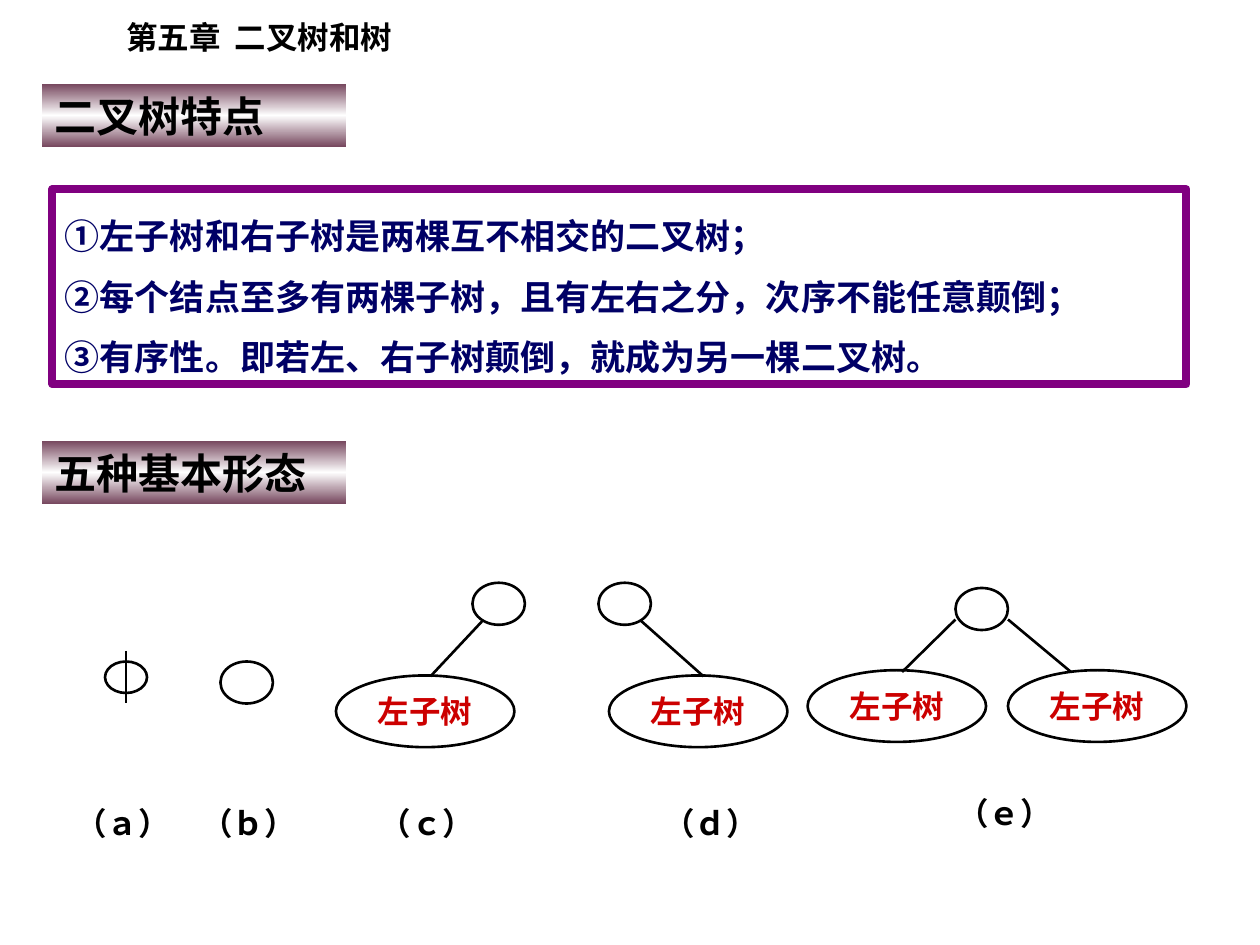
from copy import deepcopy

from lxml import etree
from pptx import Presentation
from pptx.dml.color import RGBColor
from pptx.enum.shapes import MSO_CONNECTOR, MSO_SHAPE
from pptx.enum.text import MSO_ANCHOR, PP_ALIGN
from pptx.oxml.ns import qn
from pptx.util import Pt

RECTANGLE, ELLIPSE = MSO_SHAPE.RECTANGLE, MSO_SHAPE.OVAL
STRAIGHT = MSO_CONNECTOR.STRAIGHT
TOP, MIDDLE = MSO_ANCHOR.TOP, MSO_ANCHOR.MIDDLE
LEFT, CENTER = PP_ALIGN.LEFT, PP_ALIGN.CENTER

SERIF, SANS = "Times New Roman", "Noto Sans CJK SC"
BLACK, NAVY, PURPLE, RED = "000000", "000066", "800080", "CC0000"
BANNER_STOPS = [(0, "76475E"), (0.5, "FFFFFF"), (1, "76475E")]
NODE_SIZE, EMPTY_SIZE, SUBTREE_SIZE = (30, 24), (24, 18), (102, 41)

FEATURES = [
    "①左子树和右子树是两棵互不相交的二叉树；",
    "②每个结点至多有两棵子树，且有左右之分，次序不能任意颠倒；",
    "③有序性。即若左、右子树颠倒，就成为另一棵二叉树。",
]

# Positions of nodes, subtrees, links and label are relative to the origin.
FORMS = [
    dict(origin=(36, 372), label="（ａ）", label_at=(0, 84),
         node=(24, 6), node_size=EMPTY_SIZE, links=[(36, 0, 36, 30)]),
    dict(origin=(108, 378), label="（ｂ）", label_at=(0, 78), node=(18, 0)),
    dict(origin=(192, 333), label="（ｃ）", label_at=(18, 123), node=(78, 0),
         subtrees=[(0, 53)], links=[(84, 21.5, 54, 53.5)]),
    dict(origin=(342, 333), label="（ｄ）", label_at=(30, 123), node=(0, 0),
         subtrees=[(6, 53)], links=[(24, 21.5, 60, 53.5)]),
    dict(origin=(461.5, 336), label="（ｅ）", label_at=(78.5, 114),
         node=(84.5, 0), subtrees=[(0, 47), (114.5, 47)],
         links=[(84.5, 18, 54, 48), (114.5, 18, 150.5, 48)]),
]


def color(hex_string):
    return RGBColor.from_string(hex_string)


def write(shape, lines, size, hex_color, font=SERIF, align=LEFT, anchor=TOP,
          spacing=None, wrap=True):
    frame = shape.text_frame
    frame.word_wrap = wrap
    frame.vertical_anchor = anchor
    frame.text = "\n".join(lines)
    for paragraph in frame.paragraphs:
        paragraph.alignment = align
        paragraph.line_spacing = spacing
        paragraph.font.name = font
        paragraph.font.size = Pt(size)
        paragraph.font.bold = True
        paragraph.font.color.rgb = color(hex_color)


def add_text(slide, left, top, width, height, text, wrap=True):
    box = slide.shapes.add_textbox(Pt(left), Pt(top), Pt(width), Pt(height))
    write(box, [text], 18, BLACK, wrap=wrap)


def add_outline(slide, kind, left, top, width, height, line_color=BLACK,
                line_width=1.5):
    shape = slide.shapes.add_shape(kind, Pt(left), Pt(top), Pt(width), Pt(height))
    shape.shadow.inherit = False
    shape.fill.background()
    shape.line.color.rgb = color(line_color)
    shape.line.width = Pt(line_width)
    return shape


def add_link(slide, x1, y1, x2, y2):
    link = slide.shapes.add_connector(STRAIGHT, Pt(x1), Pt(y1), Pt(x2), Pt(y2))
    link.line.color.rgb = color(BLACK)
    link.line.width = Pt(1.5)
    etree.SubElement(link._element.spPr, qn("a:effectLst"))


def add_banner(slide, left, top, width, height, heading):
    banner = slide.shapes.add_shape(
        RECTANGLE, Pt(left), Pt(top), Pt(width), Pt(height))
    banner.shadow.inherit = False
    banner.line.fill.background()
    banner.fill.gradient()
    banner.fill.gradient_angle = 90
    stop_list = next(banner._element.spPr.iter(qn("a:gsLst")))
    stop_list.append(deepcopy(stop_list[0]))
    for stop, (position, hex_color) in zip(banner.fill.gradient_stops, BANNER_STOPS):
        stop.position = position
        stop.color.rgb = color(hex_color)
    write(banner, [heading], 24, BLACK)


def add_features(slide, left, top, width, height):
    frame = add_outline(slide, RECTANGLE, left, top, width, height, PURPLE, 4.5)
    write(frame, FEATURES, 20, NAVY, font=SANS, spacing=1.45)


def add_form(slide, origin, label, label_at, node, node_size=NODE_SIZE,
             subtrees=(), links=()):
    """Draw one basic form of a binary tree with its letter below."""
    left, top = origin
    add_outline(slide, ELLIPSE, left + node[0], top + node[1], *node_size)
    for x, y in subtrees:
        subtree = add_outline(slide, ELLIPSE, left + x, top + y, *SUBTREE_SIZE)
        write(subtree, ["左子树"], 18, RED, align=CENTER, anchor=MIDDLE)
    for x1, y1, x2, y2 in links:
        add_link(slide, left + x1, top + y1, left + x2, top + y2)
    add_text(slide, left + label_at[0], top + label_at[1], 68.4, 29, label,
             wrap=False)


def main():
    presentation = Presentation()
    presentation.slide_width, presentation.slide_height = Pt(720), Pt(540)
    slide = presentation.slides.add_slide(presentation.slide_layouts[6])
    add_text(slide, 65, 7, 175, 29, "第五章  二叉树和树")
    add_banner(slide, 24, 48, 174, 36, "二叉树特点")
    add_features(slide, 30, 108, 648, 111.6)
    add_banner(slide, 24, 252, 174, 36, "五种基本形态")
    for form in FORMS:
        add_form(slide, **form)
    presentation.save("out.pptx")


if __name__ == "__main__":
    main()
